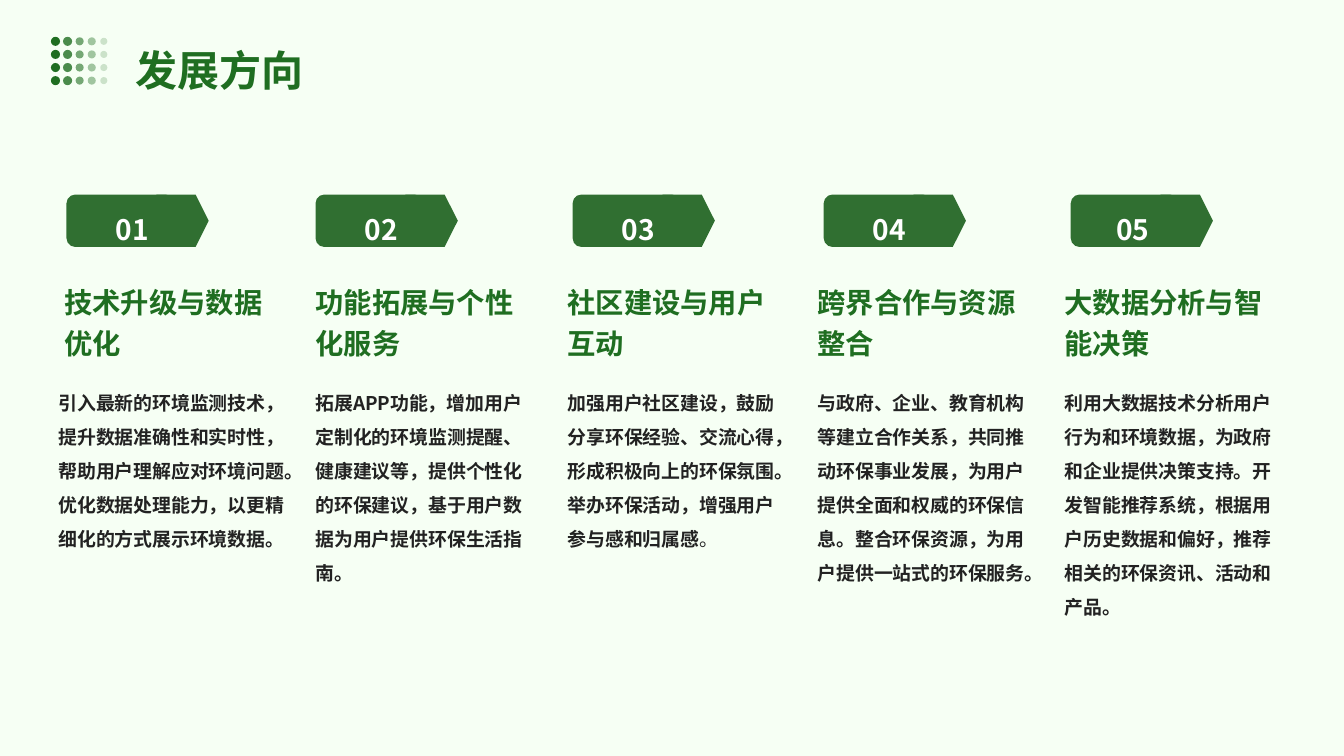
from pptx import Presentation
from pptx.dml.color import RGBColor
from pptx.enum.shapes import MSO_SHAPE
from pptx.enum.text import MSO_ANCHOR, MSO_AUTO_SIZE, PP_ALIGN
from pptx.oxml.ns import qn
from pptx.util import Inches, Pt
from lxml import etree

ROUNDED, OVAL = MSO_SHAPE.ROUNDED_RECTANGLE, MSO_SHAPE.OVAL
TOP, MIDDLE = MSO_ANCHOR.TOP, MSO_ANCHOR.MIDDLE
LEFT, CENTER = PP_ALIGN.LEFT, PP_ALIGN.CENTER
NO_AUTOFIT = MSO_AUTO_SIZE.NONE

THEME = {
    "background": RGBColor.from_string("F6FFF4"),
    "green": RGBColor.from_string("1F6E21"),
    "badge": RGBColor.from_string("306F31"),
    "body": RGBColor.from_string("222222"),
    "white": RGBColor.from_string("FFFFFF"),
    "heading_font": "Noto Sans CJK JP",
    "body_font": "Noto Sans CJK SC",
    "title_size": 30,
    "heading_size": 20.2,
    "number_size": 20.1,
    "body_size": 13.5,
}


def write(box, text, *, size, font, color, spacing, align=LEFT, anchor=TOP, light_tail=""):
    """Fill a box with one paragraph; light_tail follows in regular weight."""
    frame = box.text_frame
    frame.word_wrap = True
    frame.auto_size = NO_AUTOFIT
    frame.vertical_anchor = anchor
    frame.margin_left = frame.margin_top = frame.margin_bottom = Inches(0.14)
    frame.margin_right = Inches(0.06)
    para = frame.paragraphs[0]
    para.alignment = align
    para.line_spacing = spacing
    para.space_before = Pt(0)
    for words, bold in ((text, True), (light_tail, False)):
        if not words:
            continue
        span = para.add_run()
        span.text = words
        span.font.size = Pt(size)
        span.font.bold = bold
        span.font.color.rgb = color
        span.font.name = font
        properties = span.font._element
        properties.set("lang", "zh-CN")
        etree.SubElement(properties, qn("a:ea")).set("typeface", font)


def paint(shape, color, opacity=100):
    """Flat fill without line or shadow."""
    shape.shadow.inherit = False
    shape.fill.solid()
    shape.fill.fore_color.rgb = color
    shape.line.fill.background()
    if opacity < 100:
        tint = shape._element.spPr.find(".//" + qn("a:srgbClr"))
        etree.SubElement(tint, qn("a:alpha")).set("val", str(opacity * 1000))


deck = Presentation()
deck.slide_width, deck.slide_height = Inches(13.33), Inches(7.5)
page = deck.slides.add_slide(deck.slide_layouts[5])
page.background.fill.solid()
page.background.fill.fore_color.rgb = THEME["background"]

# Title
title = page.shapes.title
title.left, title.top = Inches(1.2), Inches(0.1)
title.width, title.height = Inches(10.94), Inches(0.92)
write(title, "发展方向", size=THEME["title_size"], font=THEME["heading_font"],
      color=THEME["green"], spacing=1.4)

# Dot grid, fading and shrinking to the right
DOT_X, DOT_Y, DOT_STEP_X, DOT_STEP_Y = 0.55, 0.41, 0.12, 0.13
DOT_SIZES = (0.09, 0.09, 0.08, 0.08, 0.07)
dots = page.shapes.add_group_shape()
for row in range(4):
    for column, size in enumerate(DOT_SIZES):
        dot = dots.shapes.add_shape(
            OVAL,
            Inches(DOT_X + column * DOT_STEP_X - size / 2),
            Inches(DOT_Y + row * DOT_STEP_Y - size / 2),
            Inches(size), Inches(size))
        paint(dot, THEME["green"], 100 - 20 * column)

# Columns: badge left, number width, heading left, body left, body width,
# heading, body, closing mark in regular weight
COLUMNS = (
    (0.66, 1.22, 0.5, 0.44, 2.49, "技术升级与数据优化",
     "引入最新的环境监测技术，提升数据准确性和实时性，帮助用户理解应对环境问题。"
     "优化数据处理能力，以更精细化的方式展示环境数据。", ""),
    (3.13, 1.22, 2.99, 2.99, 2.43, "功能拓展与个性化服务",
     "拓展APP功能，增加用户定制化的环境监测提醒、健康建议等，提供个性化的环保建议，"
     "基于用户数据为用户提供环保生活指南。", ""),
    (5.68, 1.22, 5.49, 5.49, 2.43, "社区建设与用户互动",
     "加强用户社区建设，鼓励分享环保经验、交流心得，形成积极向上的环保氛围。"
     "举办环保活动，增强用户参与感和归属感", "。"),
    (8.17, 1.22, 7.97, 7.97, 2.43, "跨界合作与资源整合",
     "与政府、企业、教育机构等建立合作关系，共同推动环保事业发展，"
     "为用户提供全面和权威的环保信息。整合环保资源，为用户提供一站式的环保服务。", ""),
    (10.62, 1.15, 10.42, 10.42, 2.43, "大数据分析与智能决策",
     "利用大数据技术分析用户行为和环境数据，为政府和企业提供决策支持。"
     "开发智能推荐系统，根据用户历史数据和偏好，推荐相关的环保资讯、活动和产品。", ""),
)
BADGE_TOP, BADGE_WIDTH, BADGE_HEIGHT = 1.93, 1.07, 0.52
CHEVRON_OFFSET, CHEVRON_SIDE = 0.89, 0.52
CHEVRON = ((0.75, 0), (0, 0), (0.25, 0.5), (0, 1), (0.75, 1))

for number, (badge_left, number_width, heading_left, body_left, body_width,
             heading, body, light_tail) in enumerate(COLUMNS, start=1):
    # Arrow badge: rounded bar and chevron
    bar = page.shapes.add_shape(ROUNDED, Inches(badge_left), Inches(BADGE_TOP),
                                Inches(BADGE_WIDTH), Inches(BADGE_HEIGHT))
    paint(bar, THEME["badge"])
    chevron_left = badge_left + CHEVRON_OFFSET
    corners = [(Inches(chevron_left + x * CHEVRON_SIDE), Inches(BADGE_TOP + y * CHEVRON_SIDE))
               for x, y in CHEVRON]
    outline = page.shapes.build_freeform(
        Inches(chevron_left + CHEVRON_SIDE), Inches(BADGE_TOP + CHEVRON_SIDE / 2))
    outline.add_line_segments(corners, close=True)
    paint(outline.convert_to_shape(), THEME["badge"])

    # Number, heading and body
    number_box = page.shapes.add_textbox(Inches(badge_left), Inches(1.8),
                                         Inches(number_width), Inches(0.79))
    write(number_box, f"{number:02d}", size=THEME["number_size"], font=THEME["body_font"],
          color=THEME["white"], spacing=1.5, align=CENTER, anchor=MIDDLE)
    heading_box = page.shapes.add_textbox(Inches(heading_left), Inches(2.62),
                                          Inches(2.43), Inches(1.07))
    write(heading_box, heading, size=THEME["heading_size"], font=THEME["heading_font"],
          color=THEME["green"], spacing=1.2)
    body_box = page.shapes.add_textbox(Inches(body_left), Inches(3.63),
                                       Inches(body_width), Inches(2.61))
    write(body_box, body, size=THEME["body_size"], font=THEME["body_font"],
          color=THEME["body"], spacing=1.5, light_tail=light_tail)

deck.save("out.pptx")
